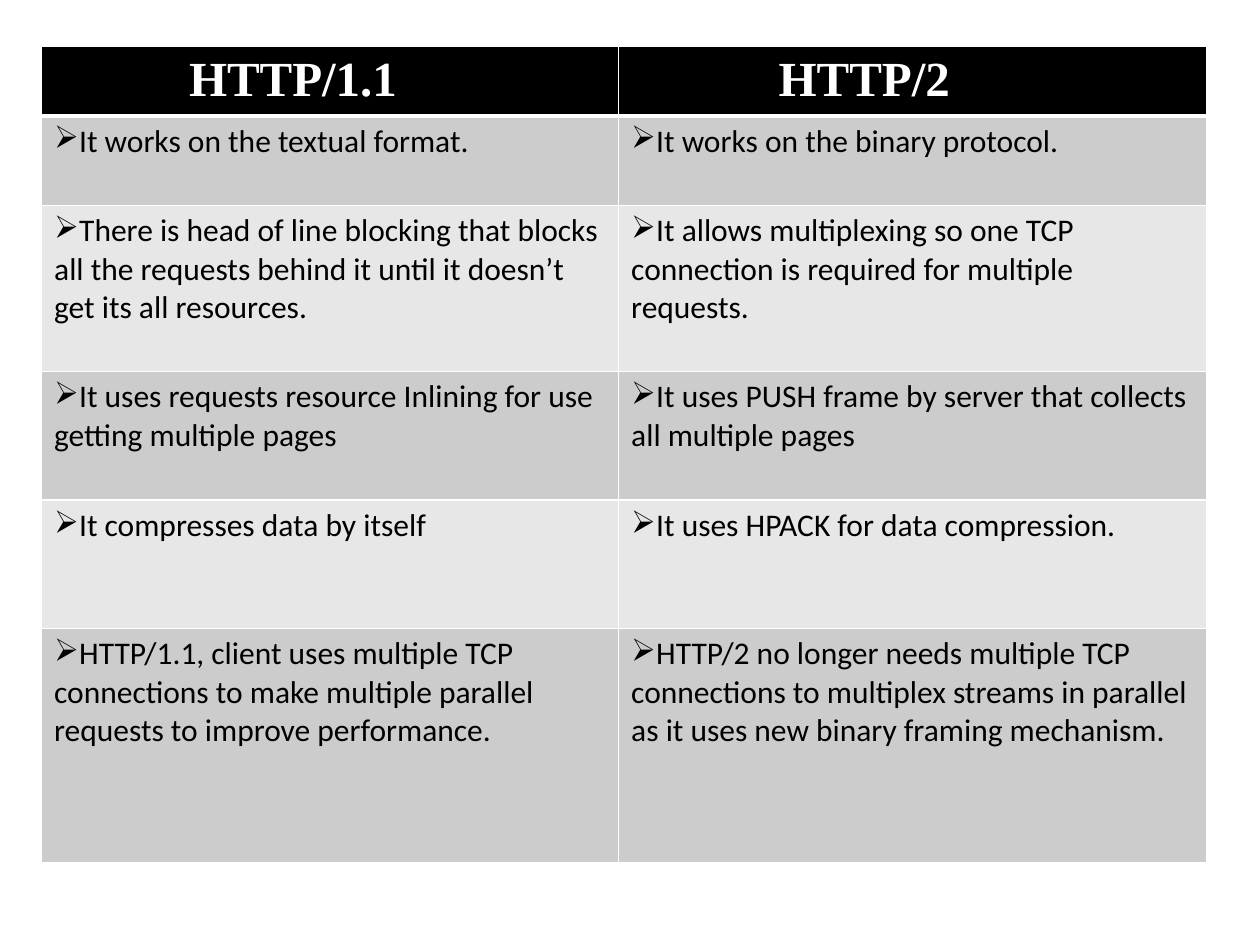
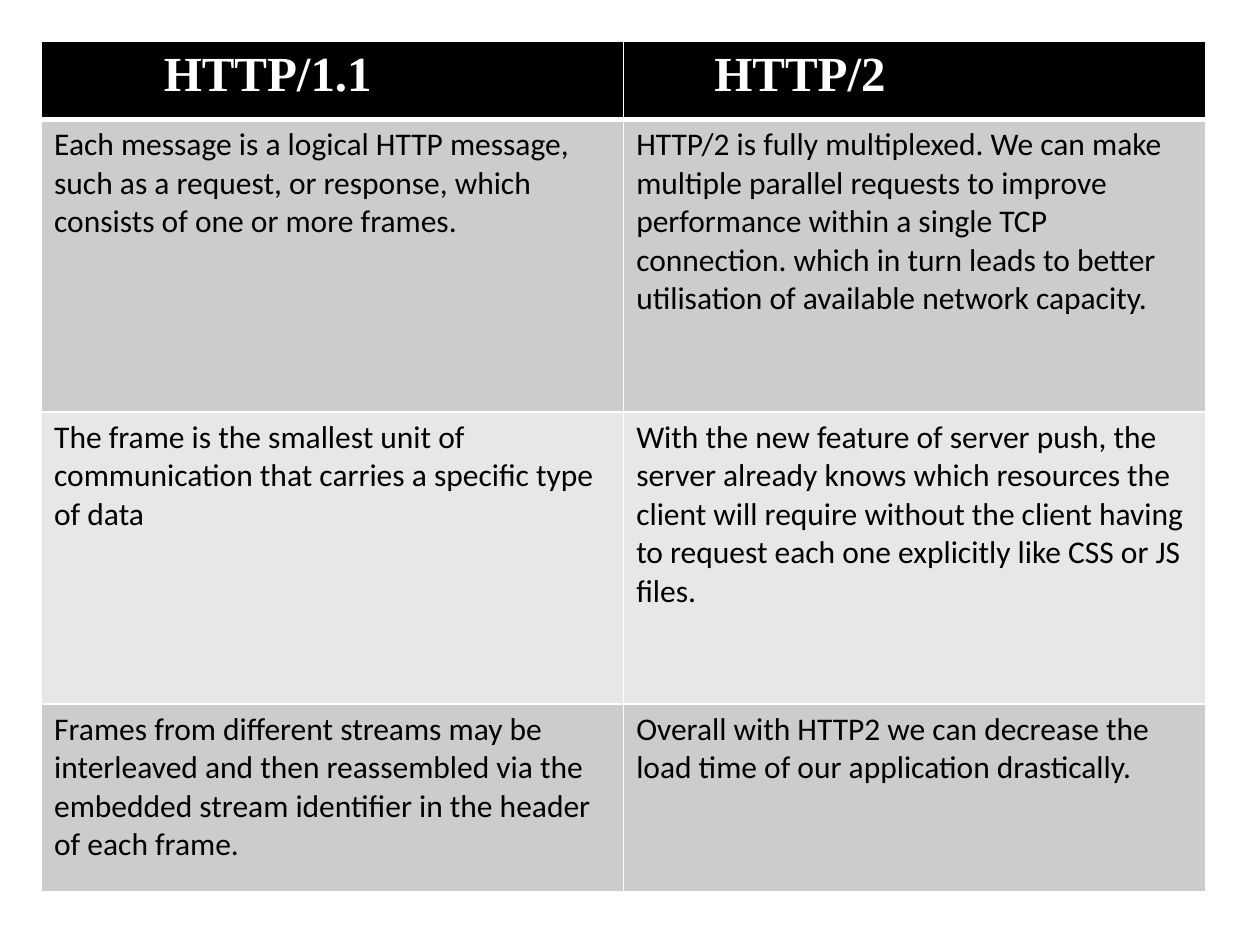
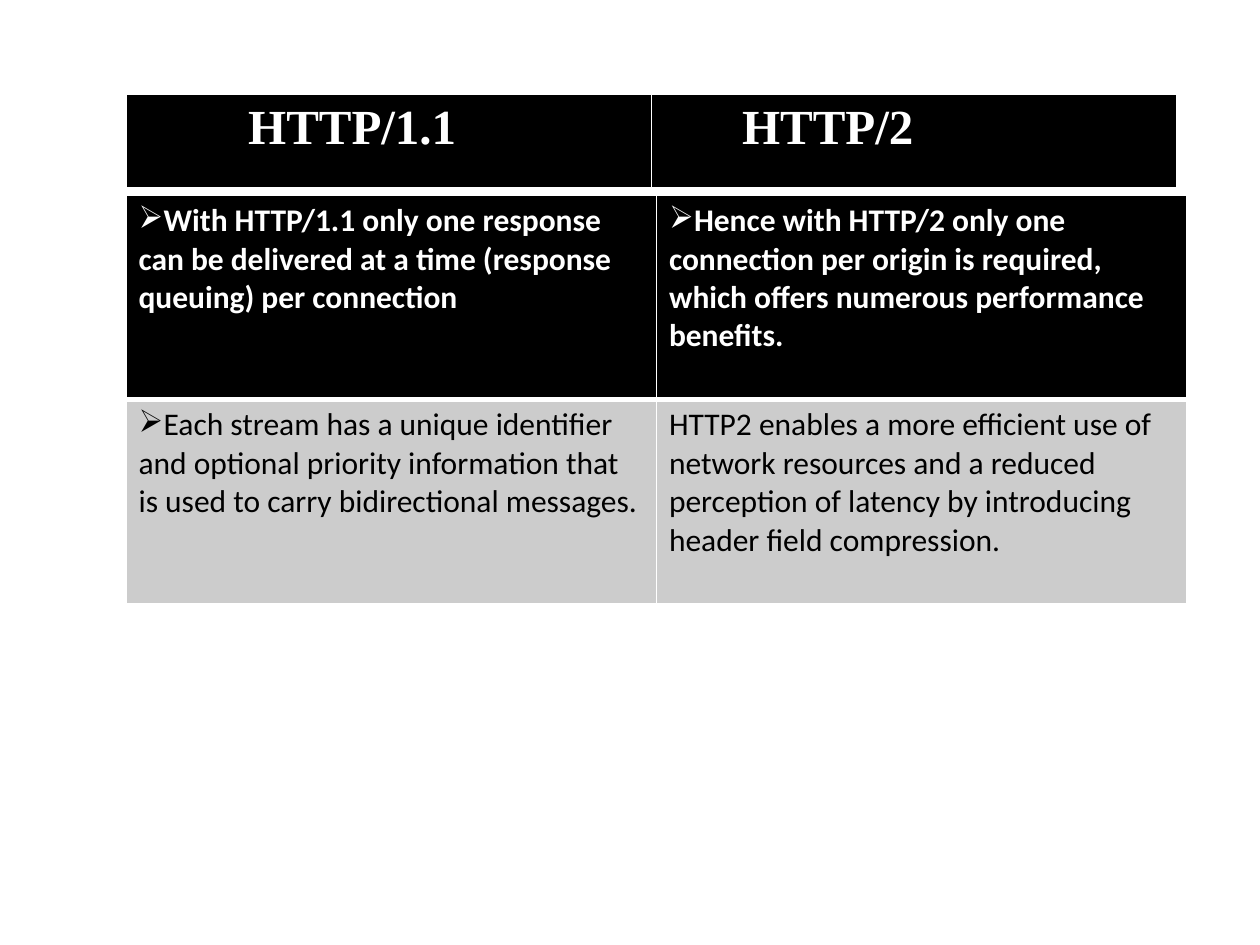
from lxml.etree import SubElement
from pptx import Presentation
from pptx.dml.color import RGBColor
from pptx.oxml.ns import qn
from pptx.util import Inches, Pt

BLACK = RGBColor(0x00, 0x00, 0x00)
WHITE = RGBColor(0xFF, 0xFF, 0xFF)
DARK_BAND = RGBColor(0xCC, 0xCC, 0xCC)
LIGHT_BAND = RGBColor(0xE7, 0xE7, 0xE7)

TITLE = {"name": "Times New Roman", "size": Pt(28), "bold": True}
LEAD = {"name": "Calibri", "size": Pt(18), "bold": True}
BODY = {"name": "Calibri", "size": Pt(18), "bold": False}
TITLES = ("HTTP/1.1", "HTTP/2")
BULLET = "➢"


def add_borders(cell, widths):
    """Draw white borders, with widths in points by side (L, R, T, B)."""
    properties = cell._tc.get_or_add_tcPr()
    for side, width in widths.items():
        line = SubElement(properties, qn(f"a:ln{side}"), w=str(Pt(width)))
        fill = SubElement(line, qn("a:solidFill"))
        SubElement(fill, qn("a:srgbClr"), val=str(WHITE))


def add_comparison(page, place, widths, heights, rows, indents=(0, 0)):
    """Add a two-column table with a black first row and banded rows below.

    A leading bullet sign in a text becomes a real bullet.
    """
    left, top = place
    frame = page.shapes.add_table(
        len(rows), len(widths), Inches(left), Inches(top),
        Inches(sum(widths)), Inches(sum(heights)))
    table = frame.table
    for column, width in zip(table.columns, widths):
        column.width = Inches(width)
    for number, (row, height, texts) in enumerate(zip(table.rows, heights, rows)):
        row.height = Inches(height)
        for cell, text, indent in zip(row.cells, texts, indents):
            is_head = number == 0
            is_title = text in TITLES
            add_borders(cell, {"L": 1, "R": 1, "T": 3 if number == 1 else 1,
                               "B": 3 if is_head else 1})
            cell.fill.solid()
            band = DARK_BAND if number % 2 else LIGHT_BAND
            cell.fill.fore_color.rgb = BLACK if is_head else band

            para = cell.text_frame.paragraphs[0]
            layout = para._p.get_or_add_pPr()
            layout.set("marL", str(Inches(indent if is_title else 0)))
            layout.set("indent", "0")
            if text.startswith(BULLET):
                SubElement(layout, qn("a:buChar"), char=BULLET)
            span = para.add_run()
            span.text = text.removeprefix(BULLET)
            style = TITLE if is_title else LEAD if is_head else BODY
            for name, value in style.items():
                setattr(span.font, name, value)
            span.font.color.rgb = WHITE if is_head else BLACK


deck = Presentation()
deck.slide_width = Inches(10)
deck.slide_height = Inches(7.5)
blank = deck.slide_layouts[6]

# Slide 1: formats, multiplexing and compression
page = deck.slides.add_slide(blank)
add_comparison(
    page, (0.33, 0.37), (4.58, 4.67), (0.55, 0.71, 1.32, 1.02, 1.02, 1.86),
    [
        TITLES,
        ("➢It works on the textual format.",
         "➢It works on the binary protocol."),
        ("➢There is head of line blocking that blocks all the requests behind "
         "it until it doesn’t get its all resources.",
         "➢It allows multiplexing so one TCP connection is required for "
         "multiple requests."),
        ("➢It uses requests resource Inlining for use getting multiple pages",
         "➢It uses PUSH frame by server that collects all multiple pages"),
        ("➢It compresses data by itself",
         "➢It uses HPACK for data compression."),
        ("➢HTTP/1.1, client uses multiple TCP connections to make multiple "
         "parallel requests to improve performance.",
         "➢HTTP/2 no longer needs multiple TCP connections to multiplex streams "
         "in parallel as it uses new binary framing mechanism."),
    ], indents=(1.07, 1.17))

# Slide 2: messages, frames and server push
page = deck.slides.add_slide(blank)
add_comparison(
    page, (0.33, 0.33), (4.62, 4.62), (0.62, 2.32, 2.32, 1.49),
    [
        TITLES,
        ("Each message is a logical HTTP message, such as a request, or "
         "response, which consists of one or more frames.",
         "HTTP/2 is fully multiplexed. We can make multiple parallel requests "
         "to improve performance within a single TCP connection. which in turn "
         "leads to better utilisation of available network capacity."),
        ("The frame is the smallest unit of communication that carries a "
         "specific type of data",
         "With the new feature of server push, the server already knows which "
         "resources the client will require without the client having to "
         "request each one explicitly like CSS or JS files."),
        ("Frames from different streams may be interleaved and then reassembled "
         "via the embedded stream identifier in the header of each frame.",
         "Overall with HTTP2 we can decrease the load time of our application "
         "drastically."),
    ], indents=(0.87, 0.62))

# Slide 3: connections and streams, with the titles in a table of their own
page = deck.slides.add_slide(blank)
add_comparison(
    page, (1, 1.55), (4.21, 4.21), (1.62, 1.62),
    [
        ("➢With HTTP/1.1 only one response can be delivered at a time (response "
         "queuing) per connection",
         "➢Hence with HTTP/2 only one connection per origin is required, which "
         "offers numerous performance benefits."),
        ("➢Each stream has a unique identifier and optional priority "
         "information that is used to carry bidirectional messages.",
         "HTTP2 enables a more efficient use of network resources and a reduced "
         "perception of latency by introducing header field compression."),
    ])
add_comparison(page, (1, 0.75), (4.17, 4.17), (0.75,), [TITLES],
               indents=(0.87, 0.62))

deck.save("out.pptx")
